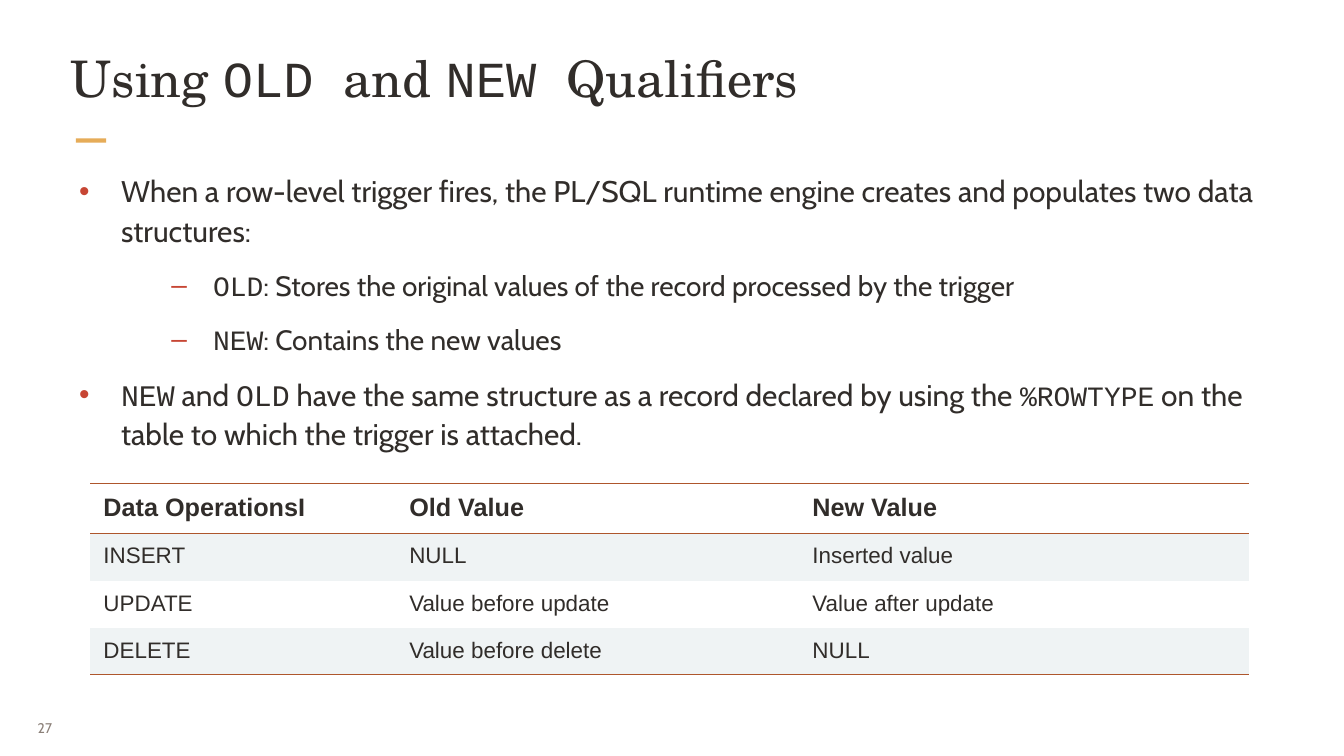
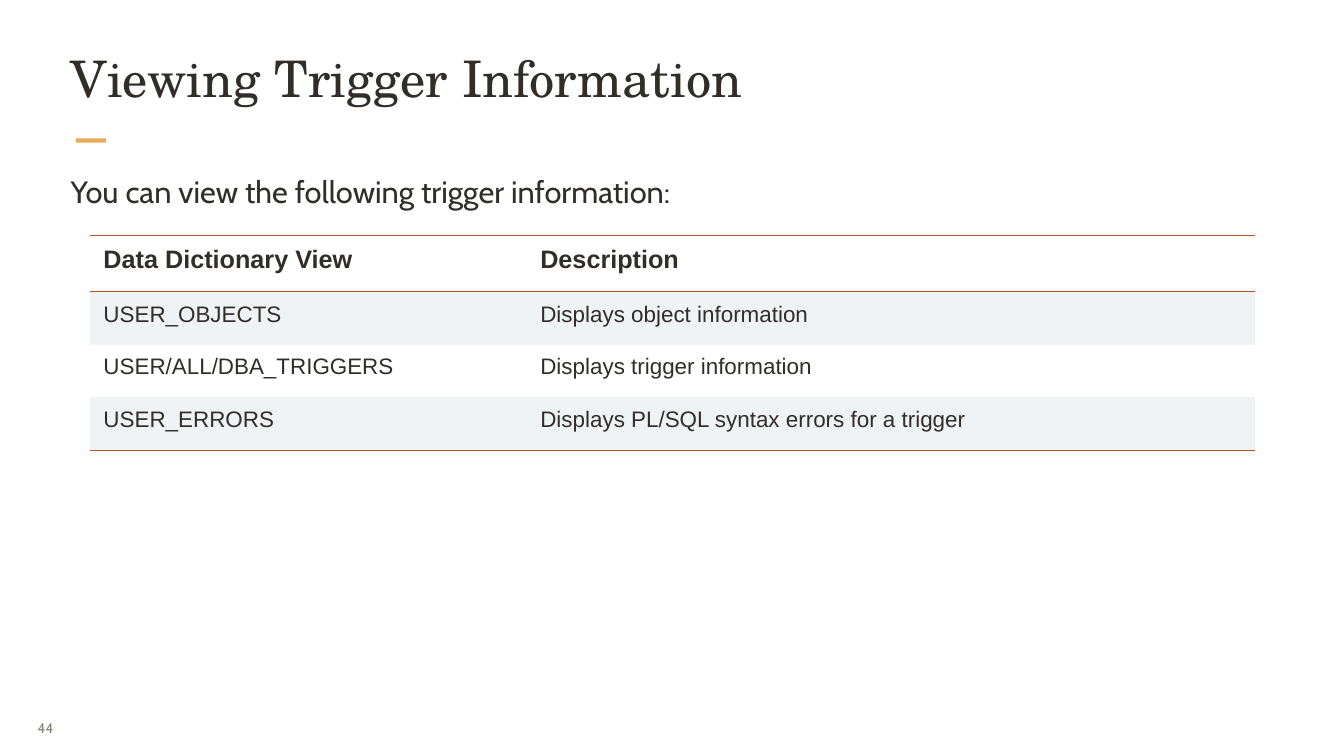
"""Build two slides on trigger qualifiers and trigger information."""
from dataclasses import dataclass
from typing import Optional

from lxml.etree import SubElement
from pptx import Presentation
from pptx.dml.color import RGBColor
from pptx.enum.shapes import MSO_SHAPE as Preset
from pptx.enum.text import MSO_ANCHOR as Anchor, PP_ALIGN as Align
from pptx.oxml.ns import qn
from pptx.util import Pt

INK = RGBColor(0x31, 0x2D, 0x2A)
GREY = RGBColor(0x8B, 0x80, 0x78)
GOLD = RGBColor(0xE6, 0xAC, 0x58)
RED = RGBColor(0xC7, 0x46, 0x34)
RUST = RGBColor(0xAE, 0x56, 0x2C)
BAND = RGBColor(0xEF, 0xF3, 0xF4)
WHITE = RGBColor(0xFF, 0xFF, 0xFF)

SERIF, SANS, CODE, TABLE_FONT = "TeX Gyre Schola", "Cabin", "Courier New", "Arial"
TITLE_SIZE, HEADER_SIZE, CELL_SIZE = 54, 27, 24
LEFT, TEXT_WIDTH, BODY_TOP, TABLE_LEFT = 73.5, 1293, 179.3, 96.5
PLAIN_TABLE_STYLE = "{2D5ABB26-0587-4C30-8999-92F81FD0307C}"


@dataclass(frozen=True)
class Span:
    """A stretch of text in one font and size."""
    text: str
    font: str
    size: float


@dataclass(frozen=True)
class Bullet:
    """A bullet sign with its level and indents."""
    sign: str
    level: int
    margin: float
    hanging: float


@dataclass(frozen=True)
class Item:
    """A body paragraph."""
    spans: list[Span]
    bullet: Optional[Bullet] = None


@dataclass(frozen=True)
class Grid:
    """A table with a header row."""
    top: float
    columns: list[float]
    header_height: float
    row_height: float
    rows: list[list[str]]


@dataclass(frozen=True)
class Page:
    """The content of one slide."""
    number: int
    title: list[Span]
    body_height: float
    body: list[Item]
    grid: Grid


DOT = Bullet("•", 1, 54, 45)
DASH = Bullet("–", 2, 152.5, 44.5)

PAGES = [
    Page(
        27,
        [Span("Using ", SERIF, TITLE_SIZE), Span("OLD ", CODE, TITLE_SIZE),
         Span("and ", SERIF, TITLE_SIZE), Span("NEW ", CODE, TITLE_SIZE),
         Span("Qualifiers", SERIF, TITLE_SIZE)],
        363.6,
        [Item([Span("When a row-level trigger fires, the PL/SQL runtime engine creates "
                    "and populates two data structures:", SANS, 32)], DOT),
         Item([Span("OLD", CODE, 30),
               Span(": Stores the original values of the record processed by the trigger",
                    SANS, 30)], DASH),
         Item([Span("NEW", CODE, 30), Span(": Contains the new values", SANS, 30)], DASH),
         Item([Span("NEW", CODE, 32), Span(" and ", SANS, 32), Span("OLD", CODE, 32),
               Span(" have the same structure as a record declared by using the ", SANS, 32),
               Span("%ROWTYPE", CODE, 30),
               Span(" on the table to which the trigger is attached.", SANS, 32)], DOT)],
        Grid(517.7, [327.6, 432, 481.7], 54, 50.4, [
            ["Data OperationsI", "Old Value", "New Value"],
            ["INSERT", "NULL", "Inserted value"],
            ["UPDATE", "Value before update", "Value after update"],
            ["DELETE", "Value before delete", "NULL"]]),
    ),
    Page(
        44,
        [Span("Viewing Trigger Information", SERIF, TITLE_SIZE)],
        103,
        [Item([Span("You can view the following trigger information:", SANS, 33)])],
        Grid(252, [468, 779.8], 60.5, 56.7, [
            ["Data Dictionary View", "Description"],
            ["USER_OBJECTS", "Displays object information"],
            ["USER/ALL/DBA_TRIGGERS", "Displays trigger information"],
            ["USER_ERRORS", "Displays PL/SQL syntax errors for a trigger"]]),
    ),
]


def add_text(paragraph, text: str, *, font: str, size: float,
             color: RGBColor = INK, bold: bool = False) -> None:
    """Append a formatted run."""
    run = paragraph.add_run()
    run.text = text
    run.font.name = font
    run.font.size = Pt(size)
    run.font.bold = bold
    run.font.color.rgb = color


def set_margins(target, horizontal: float, vertical: float) -> None:
    """Set the inner margins of a text frame or cell."""
    target.margin_left = target.margin_right = Pt(horizontal)
    target.margin_top = target.margin_bottom = Pt(vertical)


def add_frame(slide, left: float, top: float, width: float, height: float,
              horizontal: float = 2.25, vertical: float = 2.25, wrap: bool = True):
    """Add a text box and return its text frame."""
    shape = slide.shapes.add_textbox(Pt(left), Pt(top), Pt(width), Pt(height))
    frame = shape.text_frame
    frame.word_wrap = wrap
    set_margins(frame, horizontal, vertical)
    return frame


def add_bullet(paragraph, bullet: Bullet) -> None:
    """Give a paragraph a coloured bullet and a hanging indent."""
    paragraph.level = bullet.level
    properties = paragraph._p.get_or_add_pPr()
    properties.set("marL", str(Pt(bullet.margin)))
    properties.set("indent", str(-Pt(bullet.hanging)))
    color = SubElement(properties, qn("a:buClr"))
    SubElement(color, qn("a:srgbClr"), val=str(RED))
    SubElement(properties, qn("a:buFont"), typeface=TABLE_FONT)
    SubElement(properties, qn("a:buChar"), char=bullet.sign)


def add_body(slide, items: list[Item], height: float) -> None:
    """Add the body paragraphs."""
    frame = add_frame(slide, LEFT, BODY_TOP, TEXT_WIDTH, height)
    for index, item in enumerate(items):
        paragraph = frame.add_paragraph() if index else frame.paragraphs[0]
        if item.bullet:
            add_bullet(paragraph, item.bullet)
        paragraph.line_spacing = 1.1
        paragraph.space_before = Pt(18 if index else 0)
        for span in item.spans:
            add_text(paragraph, span.text, font=span.font, size=span.size)


def add_border(cell, edge: str) -> None:
    """Draw a rust line on one edge of a cell."""
    properties = cell._tc.get_or_add_tcPr()
    line = SubElement(properties, qn(f"a:{edge}"), w=str(Pt(1)))
    fill = SubElement(line, qn("a:solidFill"))
    SubElement(fill, qn("a:srgbClr"), val=str(RUST))


def add_grid(slide, grid: Grid) -> None:
    """Add a table with a ruled header and banded rows."""
    heights = [grid.header_height] + [grid.row_height] * (len(grid.rows) - 1)
    table = slide.shapes.add_table(
        len(heights), len(grid.columns), Pt(TABLE_LEFT), Pt(grid.top),
        Pt(sum(grid.columns)), Pt(sum(heights))).table
    table.horz_banding = False
    table._tbl.tblPr.find(qn("a:tableStyleId")).text = PLAIN_TABLE_STYLE
    for column, width in zip(table.columns, grid.columns):
        column.width = Pt(width)
    for index, (row, height, texts) in enumerate(zip(table.rows, heights, grid.rows)):
        row.height = Pt(height)
        header = index == 0
        for cell, text in zip(row.cells, texts):
            set_margins(cell, 14.4, 10.8)
            if header:
                add_border(cell, "lnT")
            if header or index == len(heights) - 1:
                add_border(cell, "lnB")
            if index % 2:
                cell.fill.solid()
                cell.fill.fore_color.rgb = BAND
            else:
                cell.fill.background()
            add_text(cell.text_frame.paragraphs[0], text, font=TABLE_FONT,
                     size=HEADER_SIZE if header else CELL_SIZE, bold=header)


def add_furniture(slide, number: int) -> None:
    """Add the background, accent bar and page number."""
    slide.background.fill.solid()
    slide.background.fill.fore_color.rgb = WHITE
    accent = slide.shapes.add_shape(Preset.RECTANGLE, Pt(81.4), Pt(148.3), Pt(32.4), Pt(4.5))
    accent.shadow.inherit = False
    accent.fill.solid()
    accent.fill.fore_color.rgb = GOLD
    accent.line.fill.background()
    frame = add_frame(slide, 31, 759, 46.8, 41.8, 9.4, 5, wrap=False)
    frame.vertical_anchor = Anchor.MIDDLE
    paragraph = frame.paragraphs[0]
    paragraph.alignment = Align.JUSTIFY
    add_text(paragraph, str(number), font=SANS, size=15, color=GREY)


def add_page(presentation, page: Page) -> None:
    """Add one complete slide."""
    slide = presentation.slides.add_slide(presentation.slide_layouts[6])
    add_furniture(slide, page.number)
    title = add_frame(slide, LEFT, 48.2, TEXT_WIDTH, 92.2).paragraphs[0]
    for span in page.title:
        add_text(title, span.text, font=span.font, size=span.size)
    add_body(slide, page.body, page.body_height)
    add_grid(slide, page.grid)


def main() -> None:
    """Build and save the presentation."""
    presentation = Presentation()
    presentation.slide_width, presentation.slide_height = Pt(1440), Pt(810)
    for page in PAGES:
        add_page(presentation, page)
    presentation.save("out.pptx")


if __name__ == "__main__":
    main()
